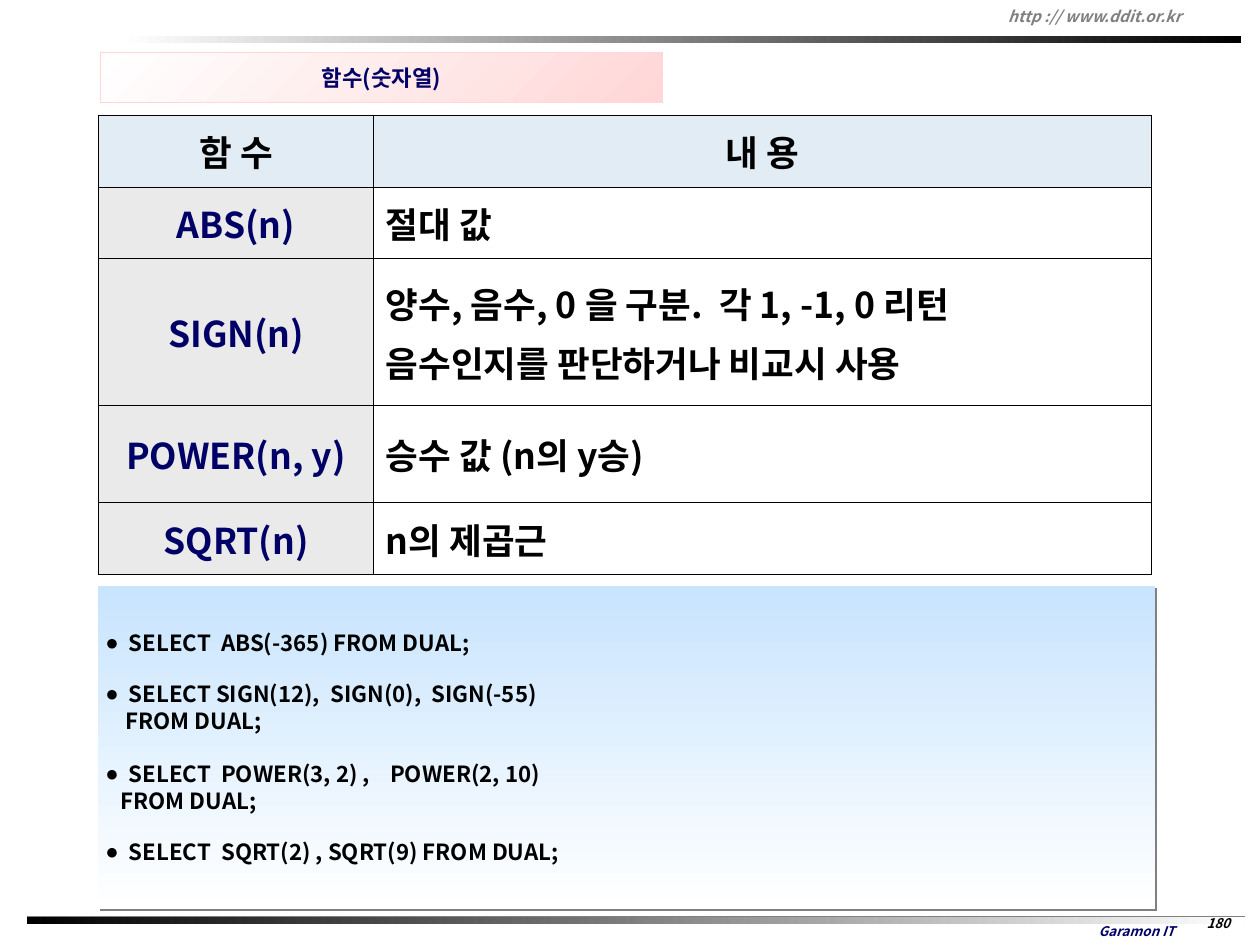
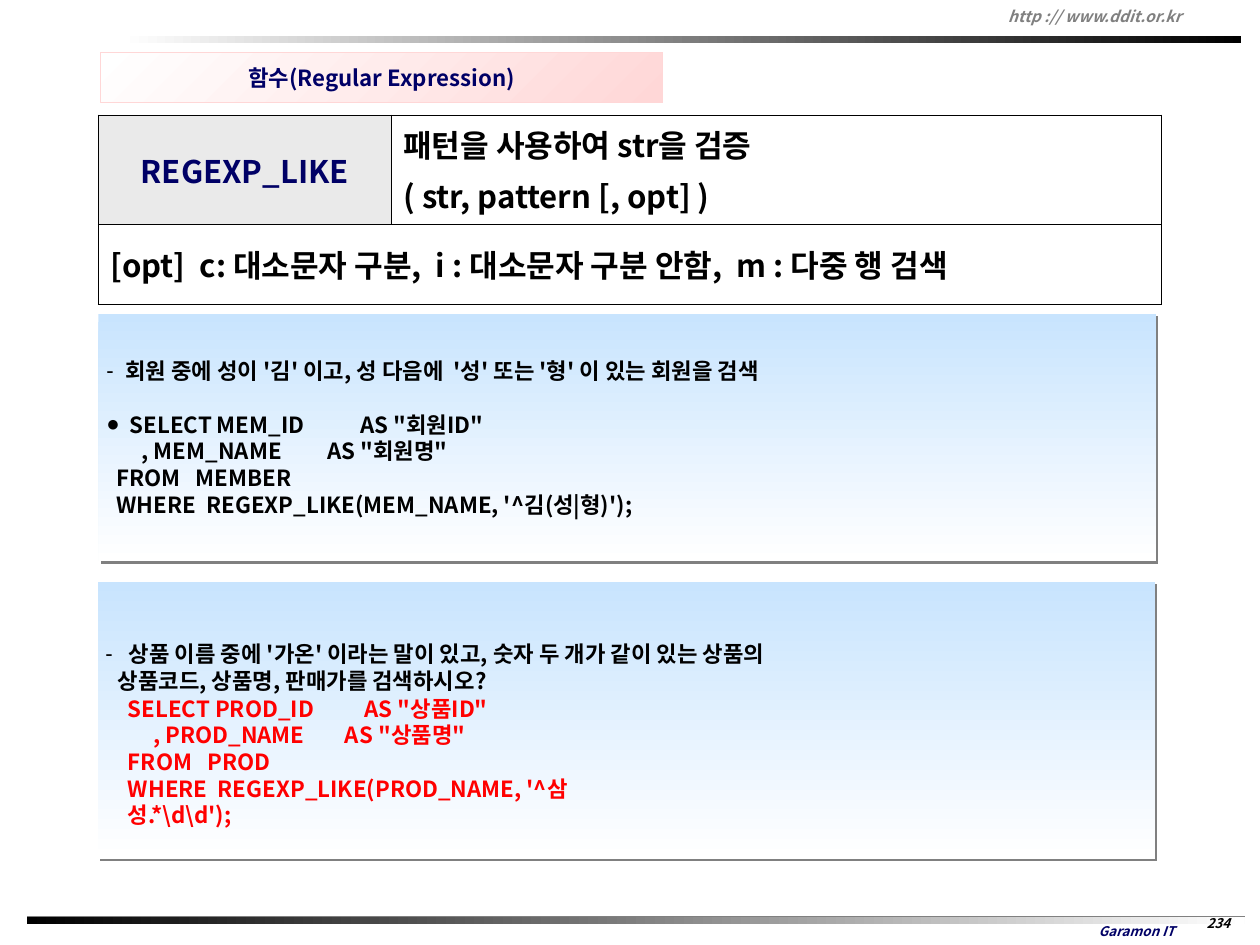
from dataclasses import dataclass

from lxml import etree
from pptx import Presentation
from pptx.dml.color import RGBColor
from pptx.enum.shapes import MSO_CONNECTOR, MSO_SHAPE
from pptx.enum.text import MSO_ANCHOR, MSO_AUTO_SIZE, PP_ALIGN
from pptx.oxml.ns import qn
from pptx.util import Pt

FONT, BULLET_FONT = "Noto Sans CJK KR", "Arial"
NAVY, BLACK, GRAY, RED, WHITE = "000066", "000000", "808080", "FF0000", "FFFFFF"
PINK, SKY, HEAD_FILL, NAME_FILL = "FFD7D7", "C8E4FE", "E2ECF4", "EAEAEA"
CODE_SIZE, CODE_LEADING = 20, 24


@dataclass
class Box:
    x: float
    y: float
    w: float
    h: float

    def pts(self) -> tuple:
        return Pt(self.x), Pt(self.y), Pt(self.w), Pt(self.h)


@dataclass
class Line:
    """One paragraph of a code panel."""
    text: str
    bullet: str = ""
    indent: float = 0
    before: float = 0


@dataclass
class Cell:
    text: str
    fill: str = WHITE
    color: str = BLACK
    centered: bool = False


# Formatting helpers
def rgb(color: str) -> RGBColor:
    return RGBColor.from_string(color)


def style_runs(p, size: float, color: str, italic: bool = False) -> None:
    for r in p.runs:
        f = r.font
        f.size, f.bold, f.italic, f.name = Pt(size), True, italic, FONT
        f.color.rgb = rgb(color)
        etree.SubElement(r._r.get_or_add_rPr(), qn("a:ea"), typeface=FONT)


def set_gradient(sp, start: str, end: str, angle: float = 0) -> None:
    """Fill with two colours; the angle runs clockwise."""
    sp.fill.gradient()
    sp.fill.gradient_angle = (360 - angle) % 360
    for stop, color in zip(sp.fill.gradient_stops, (start, end)):
        stop.color.rgb = rgb(color)


def set_insets(tf, x: float, top: float, bottom: float) -> None:
    tf.margin_left = tf.margin_right = Pt(x)
    tf.margin_top, tf.margin_bottom = Pt(top), Pt(bottom)


def add_bar(s, box: Box, start: str, end: str, angle: float = 0):
    sp = s.shapes.add_shape(MSO_SHAPE.RECTANGLE, *box.pts())
    sp.shadow.inherit = False
    sp.line.fill.background()
    set_gradient(sp, start, end, angle)
    return sp


def add_label(s, box: Box, text: str, size: float, color: str,
              align=PP_ALIGN.CENTER, anchor=MSO_ANCHOR.MIDDLE) -> None:
    tf = s.shapes.add_textbox(*box.pts()).text_frame
    tf.word_wrap, tf.vertical_anchor = True, anchor
    tf.text = text
    p = tf.paragraphs[0]
    p.alignment = align
    style_runs(p, size, color, italic=True)


def fill_lines(tf, lines: list[Line], color: str) -> None:
    tf.word_wrap = True
    for i, line in enumerate(lines):
        p = tf.paragraphs[0] if i == 0 else tf.add_paragraph()
        p.text = line.text
        p.alignment = PP_ALIGN.LEFT
        p.line_spacing, p.space_before = Pt(CODE_LEADING), Pt(line.before)
        pPr = p._p.get_or_add_pPr()
        pPr.set("marL", str(Pt(line.indent)))
        if line.bullet:
            pPr.set("indent", str(-Pt(line.indent)))
            etree.SubElement(pPr, qn("a:buFont"), typeface=BULLET_FONT)
            etree.SubElement(pPr, qn("a:buChar"), char=line.bullet)
        style_runs(p, CODE_SIZE, color)


# Slide parts
def add_page(prs, title: str, number: str):
    """Add a slide with its title, bands and footer."""
    s = prs.slides.add_slide(prs.slide_layouts[5])

    # Title box
    sp = s.shapes.title
    sp.left, sp.top, sp.width, sp.height = Box(90.7, 47.5, 505.5, 44.6).pts()
    set_gradient(sp, WHITE, PINK, 45)
    sp.line.color.rgb, sp.line.width = rgb(PINK), Pt(0.75)
    tf = sp.text_frame
    tf.text = title
    tf.word_wrap, tf.auto_size = False, MSO_AUTO_SIZE.NONE
    tf.vertical_anchor = MSO_ANCHOR.MIDDLE
    set_insets(tf, 7.2, 3.6, 3.6)
    tf.paragraphs[0].alignment = PP_ALIGN.CENTER
    style_runs(tf.paragraphs[0], 20, NAVY)

    # Bands
    add_bar(s, Box(109.4, 32.4, 1008, 6.5), WHITE, BLACK)
    rule = s.shapes.add_connector(MSO_CONNECTOR.STRAIGHT, Pt(24.5), Pt(825), Pt(1120.3), Pt(825))
    rule.line.color.rgb, rule.line.width = rgb(GRAY), Pt(1.5)
    etree.SubElement(rule._element.spPr, qn("a:effectLst"))
    add_bar(s, Box(24.5, 825, 1095.8, 6.5), BLACK, WHITE)

    # Header and footer text
    add_label(s, Box(900, 1.4, 231, 27.4), "http :// www.ddit.or.kr", 14, GRAY, PP_ALIGN.LEFT)
    add_label(s, Box(954.7, 826.6, 136.8, 23.8), "Garamon IT", 12, NAVY)
    add_label(s, Box(1071.5, 820, 50, 22.3), number, 12, BLACK, anchor=MSO_ANCHOR.TOP)
    return s


def add_panel(s, box: Box, lines: list[Line], lines_below: int = 0) -> None:
    """Add a shaded panel, keeping room for lines_below lines under the text."""
    sp = add_bar(s, box, SKY, WHITE, 90)
    shadow = etree.SubElement(sp._element.spPr.find(qn("a:effectLst")), qn("a:outerShdw"),
                              dist=str(Pt(2.8)), dir="2700000", algn="ctr", rotWithShape="0")
    etree.SubElement(shadow, qn("a:srgbClr"), val=GRAY)
    tf = sp.text_frame
    tf.vertical_anchor = MSO_ANCHOR.MIDDLE
    set_insets(tf, 7.2, 6.5, 6.5 + lines_below * CODE_LEADING)
    fill_lines(tf, lines, BLACK)


def set_borders(cell) -> None:
    tcPr = cell._tc.get_or_add_tcPr()
    for i, side in enumerate(("lnL", "lnR", "lnT", "lnB")):
        ln = etree.Element(qn(f"a:{side}"), w=str(Pt(1)))
        fill = etree.SubElement(ln, qn("a:solidFill"))
        etree.SubElement(fill, qn("a:srgbClr"), val=BLACK)
        tcPr.insert(i, ln)


def add_grid(s, widths: list[float], heights: list[float],
             rows: list[list[Cell]], size: float) -> None:
    """Add a table; a row with one cell spans all columns."""
    box = Box(88.6, 103.7, sum(widths), sum(heights))
    table = s.shapes.add_table(len(heights), len(widths), *box.pts()).table
    table.first_row = table.horz_banding = False
    for column, width in zip(table.columns, widths):
        column.width = Pt(width)
    for i, (row, height) in enumerate(zip(rows, heights)):
        table.rows[i].height = Pt(height)
        for j in range(len(widths)):
            set_borders(table.cell(i, j))
        if len(row) == 1:
            table.cell(i, 0).merge(table.cell(i, len(widths) - 1))
        for j, item in enumerate(row):
            cell = table.cell(i, j)
            cell.fill.solid()
            cell.fill.fore_color.rgb = rgb(item.fill)
            cell.vertical_anchor = MSO_ANCHOR.MIDDLE
            set_insets(cell, 10.8, 5.8, 5.8)
            cell.text_frame.text = item.text
            for k, p in enumerate(cell.text_frame.paragraphs):
                p.alignment = PP_ALIGN.CENTER if item.centered else PP_ALIGN.LEFT
                p.space_before = Pt(0.2 * size if k else 0)
                style_runs(p, size, item.color)


def head(text: str) -> Cell:
    return Cell(text, HEAD_FILL, centered=True)


def name(text: str) -> Cell:
    return Cell(text, NAME_FILL, NAVY, centered=True)


# Slides
def numeric_slide(prs) -> None:
    s = add_page(prs, "함수(숫자열)", "180")
    add_grid(s, [247.7, 700], [64.8, 64.2, 132.5, 87.1, 64.8], [
        [head("함 수"), head("내 용")],
        [name("ABS(n)"), Cell("절대 값")],
        [name("SIGN(n)"),
         Cell("양수, 음수, 0 을 구분.  각 1, -1, 0 리턴\n음수인지를 판단하거나 비교시 사용")],
        [name("POWER(n, y)"), Cell("승수 값 (n의 y승)")],
        [name("SQRT(n)"), Cell("n의 제곱근")],
    ], 32)
    add_panel(s, Box(87.8, 527, 951.8, 290.9), [
        Line("SELECT  ABS(-365) FROM DUAL;", "●", 21),
        Line("SELECT SIGN(12),  SIGN(0),  SIGN(-55)", "●", 21, 22),
        Line("    FROM DUAL;"),
        Line("SELECT  POWER(3, 2) ,    POWER(2, 10)", "●", 21, 24),
        Line("   FROM DUAL;"),
        Line("SELECT  SQRT(2) , SQRT(9) FROM DUAL;", "●", 21, 22),
    ])


def regexp_slide(prs) -> None:
    s = add_page(prs, "함수(Regular Expression)", "234")
    add_grid(s, [263.5, 693], [98, 72], [
        [name("REGEXP_LIKE"), Cell("패턴을 사용하여 str을 검증\n( str, pattern [, opt] )")],
        [Cell("[opt]  c: 대소문자 구분,  i : 대소문자 구분 안함,  m : 다중 행 검색")],
    ], 28)
    add_panel(s, Box(88.6, 282.2, 951.8, 223.2), [
        Line("회원 중에 성이 '김' 이고, 성 다음에  '성' 또는 '형' 이 있는 회원을 검색", "-", 17),
        Line("SELECT MEM_ID           AS \"회원ID\"", "●", 21, 24),
        Line("       , MEM_NAME         AS \"회원명\""),
        Line("  FROM   MEMBER"),
        Line("  WHERE  REGEXP_LIKE(MEM_NAME, '^김(성|형)');"),
    ])
    add_panel(s, Box(87.8, 523.4, 951.8, 249.8), [
        Line("상품 이름 중에 '가온' 이라는 말이 있고, 숫자 두 개가 같이 있는 상품의", "-", 21),
        Line("상품코드, 상품명, 판매가를 검색하시오?", indent=11),
    ], lines_below=4)

    # Answer query over the lower panel
    tf = s.shapes.add_textbox(*Box(108, 622, 463.7, 104.4).pts()).text_frame
    fill_lines(tf, [
        Line("SELECT PROD_ID          AS \"상품ID\""),
        Line("     , PROD_NAME        AS \"상품명\""),
        Line("FROM   PROD"),
        Line("WHERE  REGEXP_LIKE(PROD_NAME, '^삼성.*\\d\\d');"),
    ], RED)


def main() -> None:
    prs = Presentation()
    prs.slide_width, prs.slide_height = Pt(1134), Pt(850.5)
    numeric_slide(prs)
    regexp_slide(prs)
    prs.save("out.pptx")


if __name__ == "__main__":
    main()
